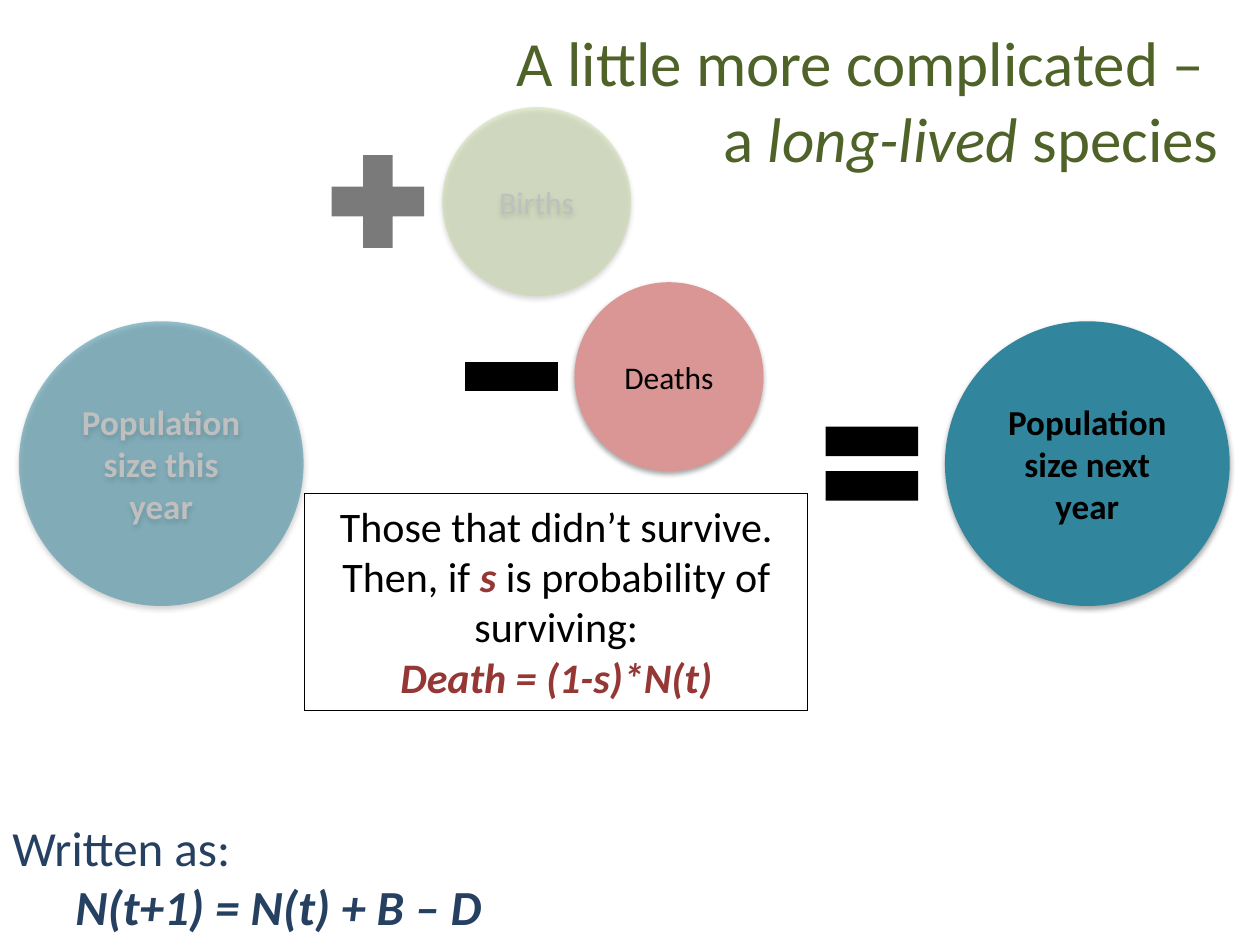
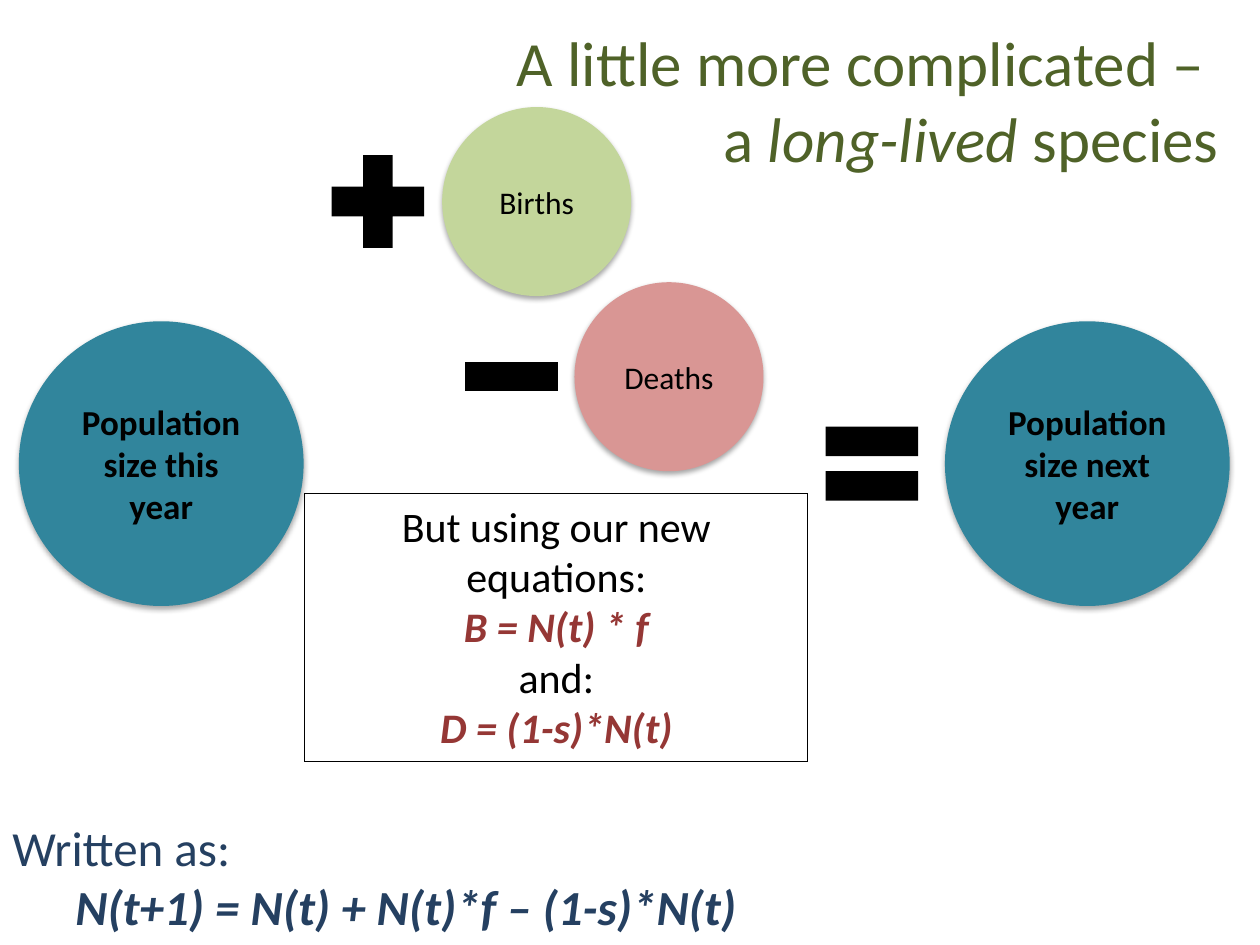
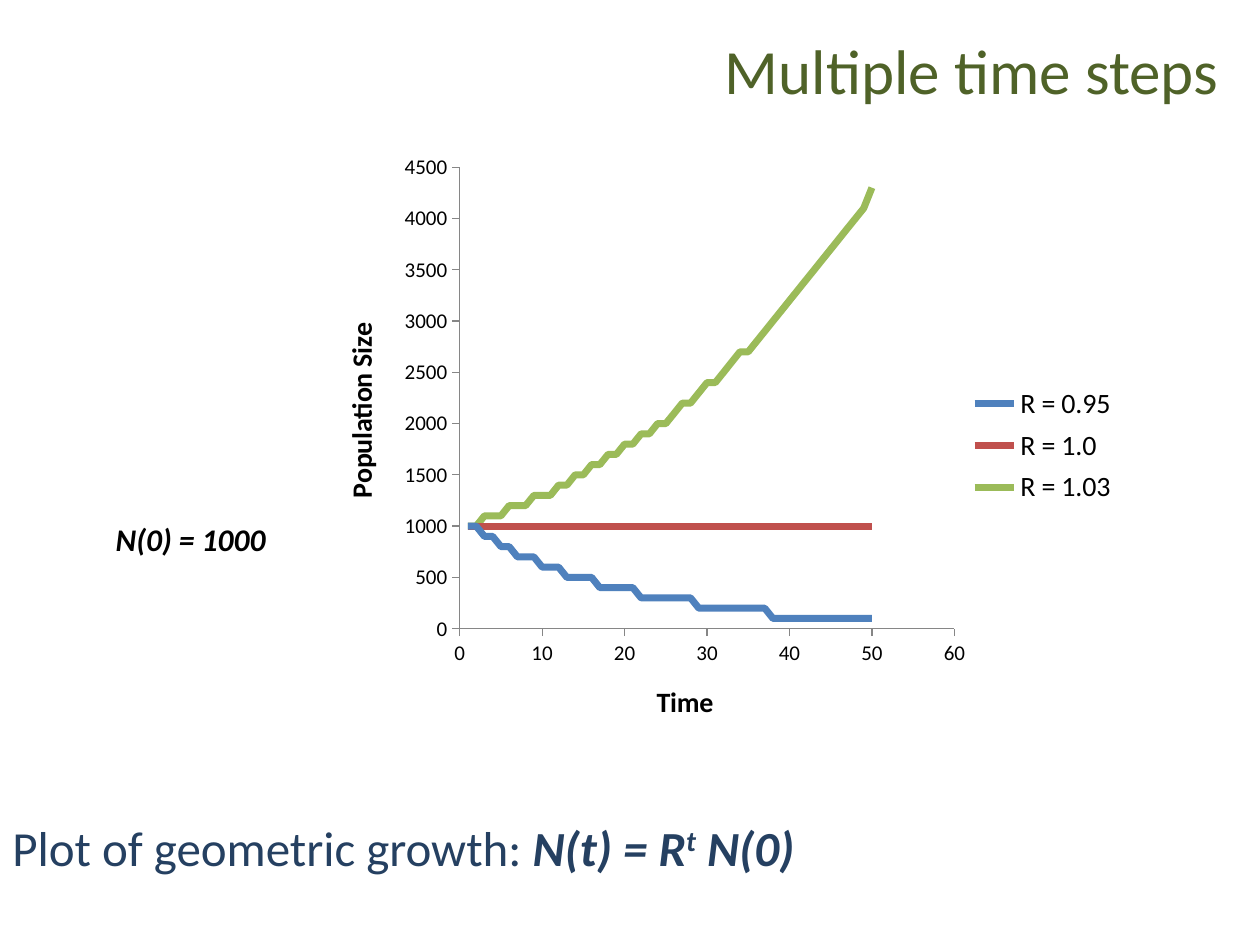
from lxml.etree import SubElement
from pptx import Presentation
from pptx.chart.data import XyChartData
from pptx.dml.color import RGBColor
from pptx.enum.chart import XL_CHART_TYPE, XL_LEGEND_POSITION, XL_TICK_MARK
from pptx.enum.shapes import MSO_SHAPE
from pptx.enum.text import MSO_ANCHOR, MSO_AUTO_SIZE, PP_ALIGN
from pptx.oxml import parse_xml
from pptx.oxml.ns import qn
from pptx.util import Pt

PX = 9144  # 100 px to the inch
FONT = "Calibri"
COLOURS = {
    "title": "4F6228", "formula": "254061", "term": "953735",
    "black": "000000", "faded": "BFBFBF", "axis": "868686",
    "population": "31859C", "births": "C3D69B", "deaths": "D99694",
}
SERIES = {"R = 0.95": (0.95, "4F81BD"), "R = 1.0": (1.0, "C0504D"),
          "R = 1.03": (1.03, "9BBB59")}
SHADOW = """<a:effectLst xmlns:a="http://schemas.openxmlformats.org/drawingml/2006/main">
  <a:outerShdw blurRad="40000" dist="23000" dir="5400000" rotWithShape="0">
    <a:srgbClr val="000000"><a:alpha val="35000"/></a:srgbClr>
  </a:outerShdw></a:effectLst>"""


def write_text(shape, paragraphs, size, colour, align=PP_ALIGN.LEFT, anchor=MSO_ANCHOR.TOP):
    """Each paragraph is a list of (text, style); style names b, i, term or sup."""
    frame = shape.text_frame
    frame.word_wrap = True
    frame.vertical_anchor = anchor
    for index, runs in enumerate(paragraphs):
        paragraph = frame.paragraphs[0] if index == 0 else frame.add_paragraph()
        paragraph.alignment = align
        for text, style in runs:
            for part, line in enumerate(text.split("\n")):
                if part:
                    paragraph.add_line_break()
                run = paragraph.add_run()
                run.text = line
                run.font.name, run.font.size = FONT, Pt(size)
                run.font.bold = "b" in style.split()
                run.font.italic = "i" in style.split()
                tone = "term" if "term" in style else colour
                run.font.color.rgb = RGBColor.from_string(COLOURS[tone])
                if "sup" in style:
                    run._r.get_or_add_rPr().set("baseline", "30000")
    return frame


def add_figure(slide, kind, box, colour, opacity=100, label="", size=18):
    """Add a filled shape; circles cast a shadow and carry a label."""
    shape = slide.shapes.add_shape(kind, *[value * PX for value in box])
    shape.fill.solid()
    shape.fill.fore_color.rgb = RGBColor.from_string(COLOURS[colour])
    shape.line.fill.background()
    shape.shadow.inherit = False
    if opacity < 100:
        tint = shape._element.spPr.find(qn("a:solidFill"))[0]
        SubElement(tint, qn("a:alpha")).set("val", str(opacity * 1000))
    if label:
        effects = shape._element.spPr.find(qn("a:effectLst"))
        effects.getparent().replace(effects, parse_xml(SHADOW))
        write_text(shape, [[(label, "b" if size == 20 else "")]], size,
                   "black" if opacity == 100 else "faded", PP_ALIGN.CENTER, MSO_ANCHOR.MIDDLE)


presentation = Presentation()
presentation.slide_width = 1000 * PX
presentation.slide_height = 750 * PX

LONG_LIVED = [("A little more complicated – \na ", ""), ("long-lived ", "i"), ("species", "")]
slide_data = [
    {   # Deaths in focus, the other terms faded
        "title": LONG_LIVED, "title_height": 134,
        "bottom": [[("Written as:", "")], [("N(t+1) = N(t) + B – D", "b i")]],
        "opacity": {"population": 50, "births": 43, "plus": 52},
        "note_height": 172,
        "note": [[("Those that didn’t survive. Then, if ", ""), ("s", "b i term"),
                  (" is probability of surviving:", "")],
                 [("Death = (1-s)*N(t)", "b i term")]],
    },
    {   # All terms together
        "title": LONG_LIVED, "title_height": 134,
        "bottom": [[("Written as:", "")], [("N(t+1) = N(t) + N(t)*f – (1-s)*N(t)", "b i")]],
        "opacity": {"population": 100, "births": 100, "plus": 100},
        "note_height": 212,
        "note": [[("But using our new equations:", "")], [("B = N(t) * f", "b i term")],
                 [("and:", "")], [("D = (1-s)*N(t)", "b i term")]],
    },
    {   # Growth chart
        "title": [("Multiple time steps", "")], "title_height": 86,
        "bottom": [[("Plot of geometric growth: ", ""), ("N(t) = R", "b i"),
                    ("t", "b i sup"), (" N(0)", "b i")]],
    },
]

for data in slide_data:
    slide = presentation.slides.add_slide(presentation.slide_layouts[6])

    # Formula at the bottom, second line indented
    bottom_height = 104 if len(data["bottom"]) == 2 else 57
    formula = slide.shapes.add_textbox(0, 644 * PX, 901 * PX, bottom_height * PX)
    frame = write_text(formula, data["bottom"], 28, "formula")
    for paragraph in frame.paragraphs[1:]:
        paragraph._p.get_or_add_pPr().set("marL", str(50 * PX))

    # Population diagram
    if "note" in data:
        opacity = data["opacity"]
        add_figure(slide, MSO_SHAPE.OVAL, (15, 255, 226, 226), "population",
                   opacity["population"], "Population size this year", 20)
        add_figure(slide, MSO_SHAPE.OVAL, (750, 255, 226, 226), "population",
                   100, "Population size next year", 20)
        add_figure(slide, MSO_SHAPE.MATH_EQUAL, (642, 318, 100, 100), "black")
        add_figure(slide, MSO_SHAPE.OVAL, (351, 85, 150, 150), "births",
                   opacity["births"], "Births")
        add_figure(slide, MSO_SHAPE.MATH_PLUS, (250, 110, 100, 100), "black", opacity["plus"])
        add_figure(slide, MSO_SHAPE.OVAL, (456, 224, 150, 150), "deaths", 100, "Deaths")
        add_figure(slide, MSO_SHAPE.MATH_MINUS, (356, 249, 100, 100), "black")

    # Title
    title = slide.shapes.add_textbox(29 * PX, 12 * PX, 948 * PX, data["title_height"] * PX)
    write_text(title, [data["title"]], 36, "title", PP_ALIGN.RIGHT, MSO_ANCHOR.MIDDLE)

    # Framed explanation, with a line of the default width
    if "note" in data:
        note = slide.shapes.add_textbox(242 * PX, 392 * PX, 399 * PX, data["note_height"] * PX)
        note.line.color.rgb = RGBColor.from_string(COLOURS["black"])
        frame = write_text(note, data["note"], 24, "black", PP_ALIGN.CENTER)
        frame.auto_size = MSO_AUTO_SIZE.SHAPE_TO_FIT_TEXT

# Geometric growth from 1000 individuals, on the last slide
chart_data = XyChartData()
for name, (rate, colour) in SERIES.items():
    series = chart_data.add_series(name)
    for time in range(1, 51):
        series.add_data_point(time, round(1000 * rate ** (time - 1), -2))
chart = slide.shapes.add_chart(XL_CHART_TYPE.XY_SCATTER_SMOOTH_NO_MARKERS, 250 * PX, 113 * PX,
                               660 * PX, 482 * PX, chart_data).chart
chart.has_title = False
chart.font.name, chart.font.size = FONT, Pt(12)
chart.font.color.rgb = RGBColor.from_string(COLOURS["black"])
chart.has_legend = True
chart.legend.position = XL_LEGEND_POSITION.RIGHT
chart.legend.include_in_layout = False
chart.legend.font.name, chart.legend.font.size = FONT, Pt(16)
for series, (rate, colour) in zip(chart.plots[0].series, SERIES.values()):
    series.smooth = True
    series.format.line.color.rgb = RGBColor.from_string(colour)
    series.format.line.width = Pt(4)

for axis, caption, maximum, step in ((chart.category_axis, "Time", 60, 10),
                                     (chart.value_axis, "Population Size", 4500, 500)):
    axis.minimum_scale, axis.maximum_scale, axis.major_unit = 0, maximum, step
    axis.has_major_gridlines = False
    axis.major_tick_mark = XL_TICK_MARK.OUTSIDE
    axis.tick_labels.number_format = "General"
    axis.tick_labels.number_format_is_linked = False
    axis.format.line.color.rgb = RGBColor.from_string(COLOURS["axis"])
    axis.axis_title.text_frame.text = caption
    font = axis.axis_title.text_frame.paragraphs[0].runs[0].font
    font.name, font.size, font.bold = FONT, Pt(16), True

# Fixed places of plot and legend, as shares of the chart
plot_area = chart._chartSpace.chart.plotArea
legend = chart.legend._element
for part, position, target, box in ((plot_area, 0, "inner", (0.174, 0.041, 0.595, 0.76)),
                                    (legend, 1, "", (0.78, 0.39, 0.19, 0.22))):
    for automatic in part.findall(qn("c:layout")):
        part.remove(automatic)
    layout = SubElement(part, qn("c:layout"))
    part.insert(position, layout)
    manual = SubElement(layout, qn("c:manualLayout"))
    if target:
        SubElement(manual, qn("c:layoutTarget")).set("val", target)
    for key in ("xMode", "yMode"):
        SubElement(manual, qn("c:" + key)).set("val", "edge")
    for key, value in zip("xywh", box):
        SubElement(manual, qn("c:" + key)).set("val", str(value))

# Starting size
start = slide.shapes.add_textbox(82 * PX, 408 * PX, 146 * PX, 40 * PX)
frame = write_text(start, [[("N(0) = 1000", "b i")]], 18, "black")
frame.word_wrap = False

presentation.save("out.pptx")
